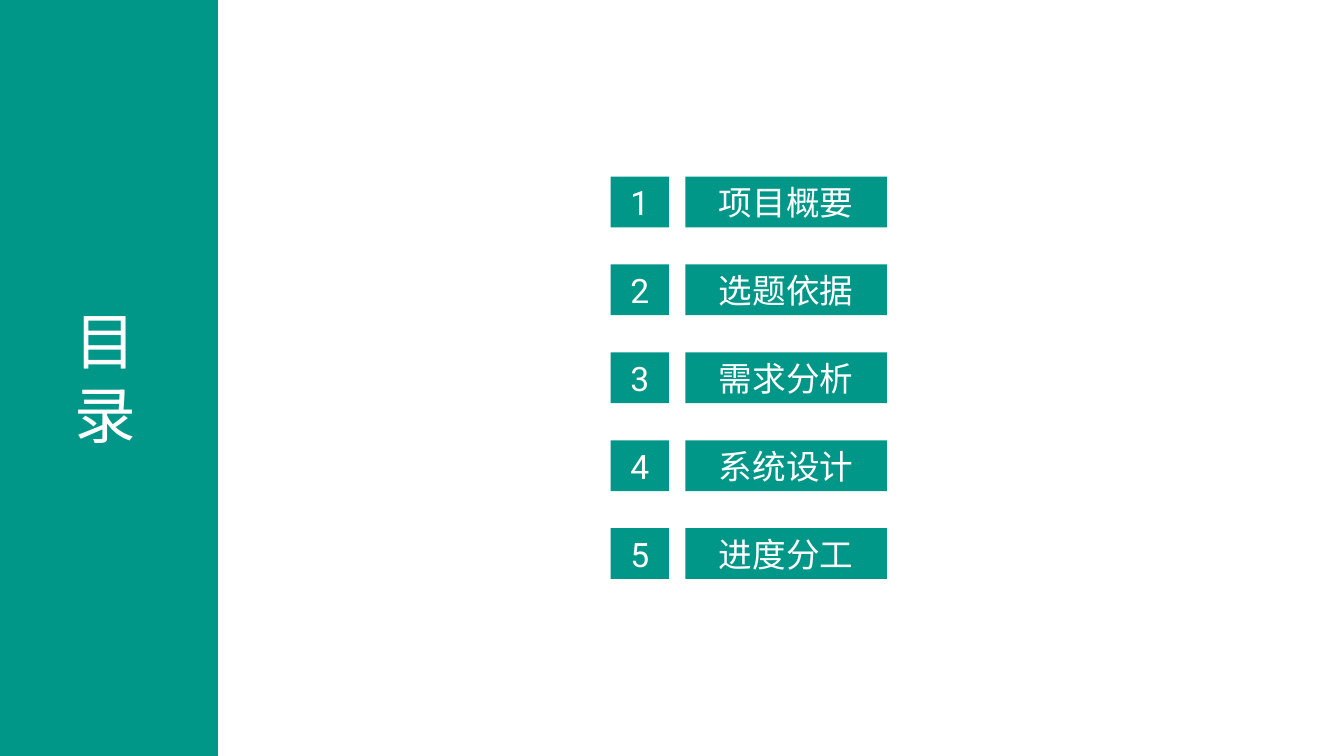
from lxml.etree import SubElement
from pptx import Presentation
from pptx.dml.color import RGBColor
from pptx.enum.shapes import MSO_SHAPE as Preset
from pptx.enum.text import MSO_ANCHOR as Anchor, MSO_AUTO_SIZE as AutoSize, PP_ALIGN as Align
from pptx.oxml.ns import qn
from pptx.util import Cm, Pt

COLORS = {"teal": "009688", "white": "FFFFFF"}
FONT = "Roboto"
TOPICS = ["项目概要", "选题依据", "需求分析", "系统设计", "进度分工"]


def add_block(shapes, left, top, width, height):
    """Add a plain teal rectangle."""
    block = shapes.add_shape(Preset.RECTANGLE, left, top, width, height)
    block.shadow.inherit = False
    block.fill.solid()
    block.fill.fore_color.rgb = RGBColor.from_string(COLORS["teal"])
    block.line.fill.background()
    return block


def write(holder, text, size, align):
    """Put one white line of text into a shape that fits its text."""
    frame = holder.text_frame
    frame.word_wrap = True
    frame.auto_size = AutoSize.SHAPE_TO_FIT_TEXT
    frame.text = text
    paragraph = frame.paragraphs[0]
    paragraph.alignment = align
    font = paragraph.runs[0].font
    font.name = FONT
    font.size = Pt(size)
    font.color.rgb = RGBColor.from_string(COLORS["white"])
    SubElement(paragraph.runs[0].font._element, qn("a:ea"), typeface=FONT)


def add_sidebar(slide, left, top, width, height):
    """Draw the side band with the contents heading."""
    add_block(slide.shapes, left, top, width, height)
    heading = slide.shapes.add_textbox(left + Cm(1.62), top + Cm(7.52), Cm(2.26), Cm(4.01))
    write(heading, "目录", 44, Align.LEFT)


def add_agenda(slide, left, top, width, height):
    """Spread the numbered topics evenly over the box."""
    row_height, number_width, gap = Cm(1.28), Cm(1.47), Cm(0.41)
    pitch = (height - row_height) / (len(TOPICS) - 1)
    topic_left = left + number_width + gap
    topic_width = width - number_width - gap
    for index, topic in enumerate(TOPICS):
        row = slide.shapes.add_group_shape()
        row_top = top + round(index * pitch)
        cells = [(str(index + 1), left, number_width), (topic, topic_left, topic_width)]
        for text, cell_left, cell_width in cells:
            cell = add_block(row.shapes, cell_left, row_top, cell_width, row_height)
            cell.text_frame.vertical_anchor = Anchor.MIDDLE
            write(cell, text, 24, Align.CENTER)


def main():
    """Build the contents slide and save it."""
    deck = Presentation()
    deck.slide_width, deck.slide_height = Cm(33.87), Cm(19.05)
    slide = deck.slides.add_slide(deck.slide_layouts[6])
    add_sidebar(slide, 0, 0, Cm(5.49), deck.slide_height)
    add_agenda(slide, Cm(15.39), Cm(4.45), Cm(6.96), Cm(10.14))
    deck.save("out.pptx")


if __name__ == "__main__":
    main()
